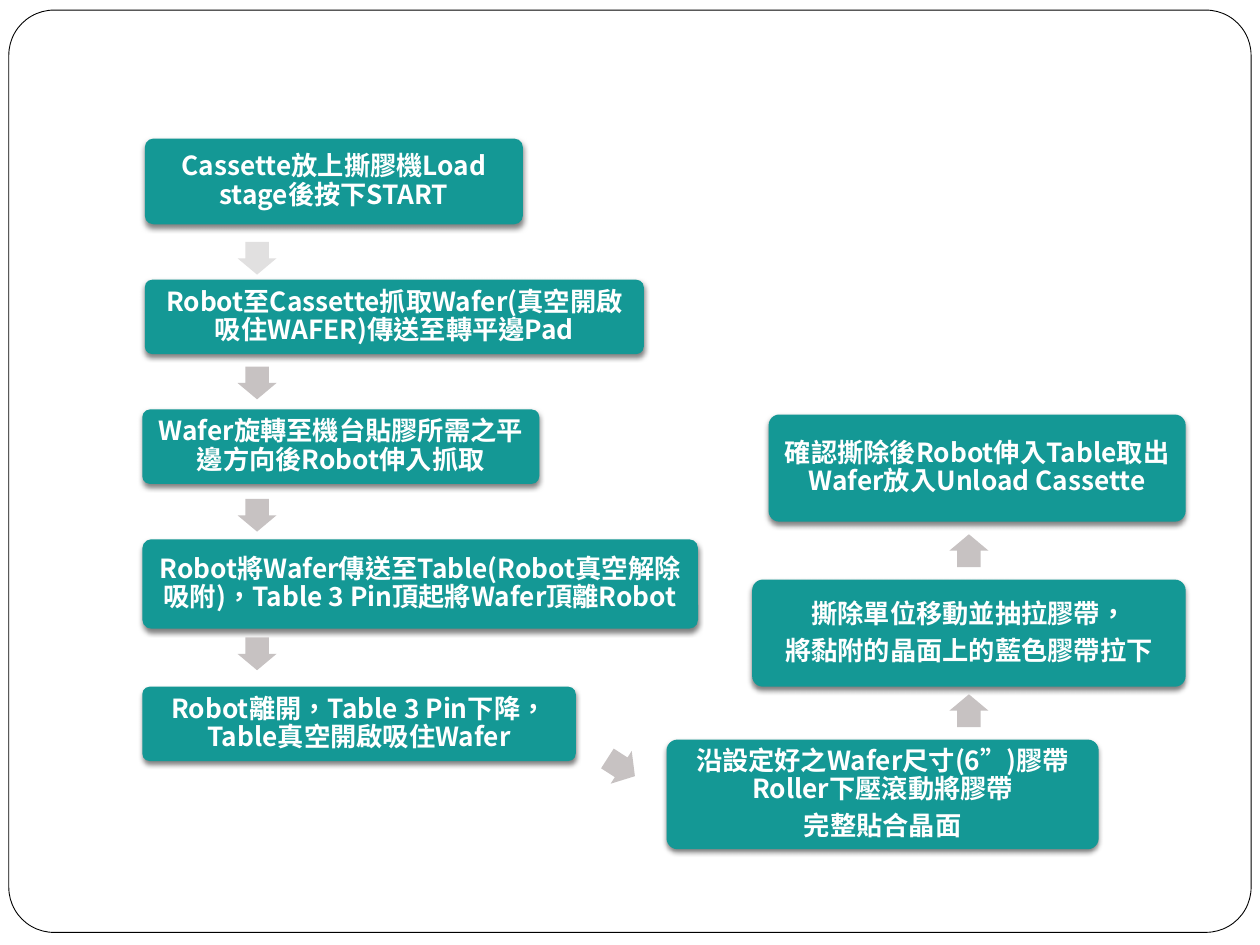
from lxml.etree import SubElement
from pptx import Presentation
from pptx.dml.color import RGBColor
from pptx.enum.shapes import MSO_SHAPE as SHAPE
from pptx.enum.text import MSO_ANCHOR as ANCHOR, PP_ALIGN as ALIGN
from pptx.oxml.ns import qn
from pptx.util import Inches, Pt

FONT = "Noto Sans CJK SC"
TEAL, GREY, PALE, WHITE, BLACK = "149895", "C7C2C2", "E1E0E0", "FFFFFF", "000000"

# Columns: shared edges and arrow centre lines
LEFT_EDGE, RIGHT_EDGE = 1.13, 9.41
LEFT_ARROWS, RIGHT_ARROWS = 2.04, 7.69
SHORT_STEP, TALL_STEP = 0.59, 0.85
DOWN, UP, DIAGONAL = 90, 270, 32.8

# Steps: left, top, width, height, side margin, paragraphs
STEPS = [
    (1.15, 1.1, 3, 0.68, 0.23, ["Cassette放上撕膠機Load stage後按下START"]),
    (1.15, 2.22, 3.96, SHORT_STEP, 0.1,
     ["Robot至Cassette抓取Wafer(真空開啟吸住WAFER)傳送至轉平邊Pad"]),
    (LEFT_EDGE, 3.25, 3.15, SHORT_STEP, 0.1,
     ["Wafer旋轉至機台貼膠所需之平邊方向後Robot伸入抓取"]),
    (LEFT_EDGE, 4.28, 4.41, 0.71, 0.1,
     ["Robot將Wafer傳送至Table(Robot真空解除吸附)，Table 3 Pin頂起將Wafer頂離Robot"]),
    (LEFT_EDGE, 5.45, 3.44, SHORT_STEP, 0.1,
     ["Robot離開，Table 3 Pin下降，Table真空開啟吸住Wafer"]),
    (5.29, 5.87, 3.43, 0.87, 0.1,
     ["沿設定好之Wafer尺寸(6”)膠帶Roller下壓滾動將膠帶", "完整貼合晶面"]),
    (RIGHT_EDGE - 3.44, 4.6, 3.44, TALL_STEP, 0.1,
     ["撕除單位移動並抽拉膠帶，", "將黏附的晶面上的藍色膠帶拉下"]),
    (RIGHT_EDGE - 3.31, 3.29, 3.31, TALL_STEP, 0.1,
     ["確認撕除後Robot伸入Table取出Wafer放入Unload Cassette"]),
]

# Arrows: centre x, centre y, direction, colour
ARROWS = [
    (LEFT_ARROWS, 2.05, DOWN, PALE),
    *[(LEFT_ARROWS, y, DOWN, GREY) for y in (3.04, 4.09, 5.19)],
    (4.93, 6.09, DIAGONAL, GREY),
    *[(RIGHT_ARROWS, y, UP, GREY) for y in (5.64, 4.37)],
]


def rgb(value):
    return RGBColor.from_string(value)


def add_block(slide, preset, box, fill, adjustments):
    block = slide.shapes.add_shape(preset, *[Inches(length) for length in box])
    for index, value in enumerate(adjustments):
        block.adjustments[index] = value
    block.shadow.inherit = False
    block.fill.solid()
    block.fill.fore_color.rgb = rgb(fill)
    block.line.fill.background()
    return block


def add_soft_shadow(block):
    effects = block._element.spPr.find(qn("a:effectLst"))
    shadow = SubElement(effects, qn("a:outerShdw"), blurRad=str(Pt(3)),
                        dist=str(Pt(2)), dir="5400000", rotWithShape="0")
    colour = SubElement(shadow, qn("a:srgbClr"), val=BLACK)
    SubElement(colour, qn("a:alpha"), val="50000")


def write_text(block, paragraphs, side_margin):
    frame = block.text_frame
    frame.word_wrap = True
    frame.vertical_anchor = ANCHOR.MIDDLE
    frame.margin_left = frame.margin_right = Inches(side_margin)
    frame.margin_top = frame.margin_bottom = Inches(0.07)
    frame.text = "\n".join(paragraphs)
    for paragraph in frame.paragraphs:
        paragraph.alignment = ALIGN.CENTER
        paragraph.line_spacing = 0.9
        paragraph.space_after = Pt(5)
        for run in paragraph.runs:
            run.font.size = Pt(15)
            run.font.bold = True
            run.font.name = FONT
            run.font.color.rgb = rgb(WHITE)
            properties = run._r.get_or_add_rPr()
            properties.set("lang", "zh-TW")
            SubElement(properties, qn("a:ea"), typeface=FONT)


def add_step(slide, left, top, width, height, side_margin, paragraphs):
    step = add_block(slide, SHAPE.ROUNDED_RECTANGLE,
                     (left, top, width, height), TEAL, [0.1])
    add_soft_shadow(step)
    write_text(step, paragraphs, side_margin)


def add_arrow(slide, centre_x, centre_y, direction, colour):
    length, breadth = 0.26, 0.31
    box = (centre_x - length / 2, centre_y - breadth / 2, length, breadth)
    arrow = add_block(slide, SHAPE.RIGHT_ARROW, box, colour, [0.6, 0.5])
    arrow.rotation = direction


def add_border(slide):
    border = add_block(slide, SHAPE.ROUNDED_RECTANGLE,
                       (0.07, 0.08, 9.86, 7.32), WHITE, [0.049])
    border.line.color.rgb = rgb(BLACK)
    border.line.width = Pt(0.5)


def main():
    deck = Presentation()
    deck.slide_width, deck.slide_height = Inches(10), Inches(7.5)
    slide = deck.slides.add_slide(deck.slide_layouts[6])

    # Page frame
    add_border(slide)

    # Process flow
    for step in STEPS:
        add_step(slide, *step)
    for arrow in ARROWS:
        add_arrow(slide, *arrow)

    deck.save("out.pptx")


if __name__ == "__main__":
    main()
